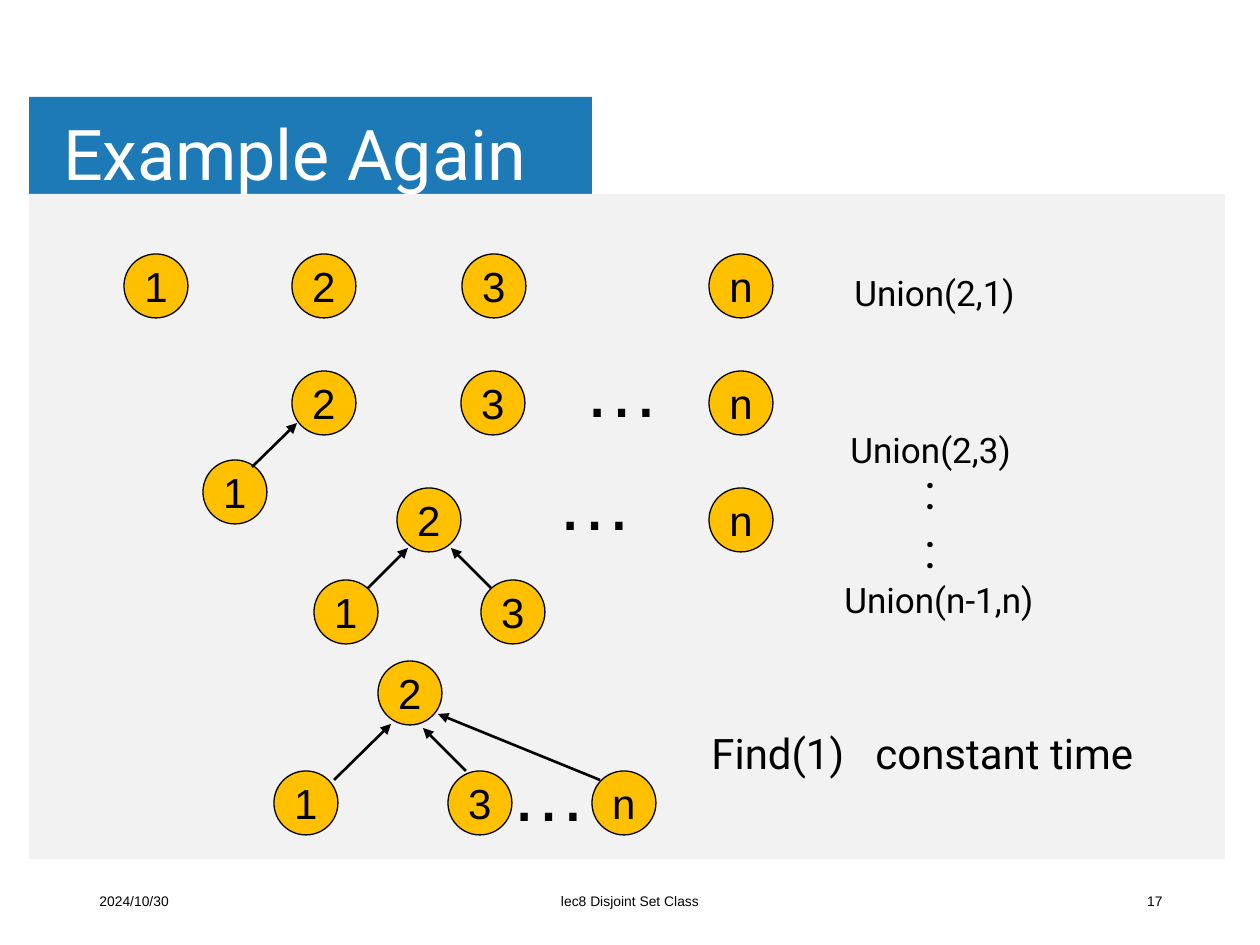
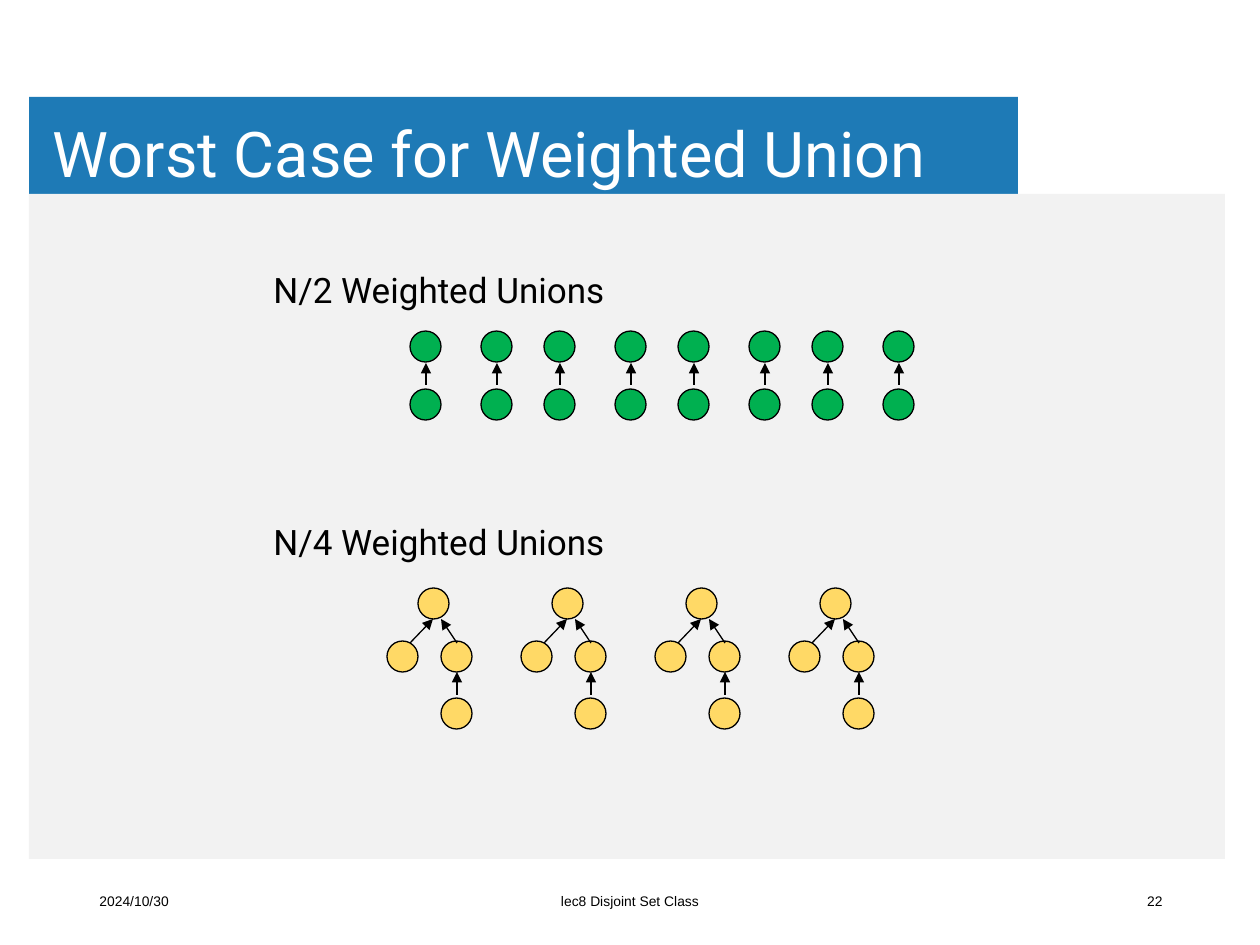
from collections import namedtuple

from lxml import etree
from pptx import Presentation
from pptx.dml.color import RGBColor
from pptx.enum import shapes, text
from pptx.oxml import ns
from pptx.util import Pt

PX = 914400 / 126
BLACK = RGBColor(0x00, 0x00, 0x00)
WHITE = RGBColor(0xFF, 0xFF, 0xFF)
BAND_BLUE = RGBColor(0x1E, 0x7A, 0xB6)
PANEL_GREY = RGBColor(0xF2, 0xF2, 0xF2)
NODE_ORANGE = RGBColor(0xFF, 0xC0, 0x00)
NODE_GREEN = RGBColor(0x00, 0xB0, 0x50)
NODE_YELLOW = RGBColor(0xFF, 0xD9, 0x66)
ROBOTO, ARIAL = "Roboto", "Arial"
LEFT, CENTER, RIGHT = text.PP_ALIGN.LEFT, text.PP_ALIGN.CENTER, text.PP_ALIGN.RIGHT
MIDDLE = text.MSO_ANCHOR.MIDDLE
OVAL, RECTANGLE = shapes.MSO_SHAPE.OVAL, shapes.MSO_SHAPE.RECTANGLE

Box = namedtuple("Box", "left top width height")
PANEL = Box(29, 194, 1196, 665)
FOOTER = Box(87, 876, 1088, 50)
NODE_SIZE, DOT_SIZE, TREE_STEP = 64, 31, 134

UNION_STEPS = [
    (60, [("1", 95, 0), ("2", 263, 0), ("3", 433, 0), ("n", 680, 0)], [], None),
    (177, [("1", 174, 89), ("2", 263, 0), ("3", 432, 0), ("n", 680, 0)],
     [(223, 96, 268, 52)], Box(542, -37, 147, 142)),
    (294, [("1", 285, 92), ("2", 368, 0), ("3", 452, 92), ("n", 680, 0)],
     [(339, 100, 379, 60), (462, 100, 422, 60)], Box(515, -41, 147, 142)),
    (467, [("1", 245, 110), ("2", 349, 0), ("3", 419, 110), ("n", 563, 110)],
     [(305, 119, 362, 63), (437, 110, 394, 67), (571, 119, 409, 53)],
     Box(469, 77, 103, 135)),
]
UNION_CALLS = [
    ("Union(2,1)", Box(813, 71, 292, 84)),
    ("Union(2,3)", Box(809, 228, 297, 84)),
    ("Union(n-1,n)", Box(803, 378, 341, 84)),
]
PAIR_NODES = [("", 0, 0), ("", 0, 58)]
PAIR_ARROWS = [(16, 54, 16, 32)]
TREE_NODES = [("", 31, 0), ("", 0, 53), ("", 54, 53), ("", 54, 110)]
TREE_ARROWS = [(23, 55, 46, 31), (70, 107, 70, 84), (70, 55, 54, 31)]


def emu(*lengths):
    """Turn px lengths into EMU."""
    return [round(length * PX) for length in lengths]


def inside(outer, box):
    """Shift a box by the corner of the outer box."""
    return box._replace(left=outer.left + box.left, top=outer.top + box.top)


def write(paragraph, words, size, font, color=BLACK, align=LEFT):
    """Add one styled run to a paragraph."""
    paragraph.alignment = align
    run = paragraph.add_run()
    run.text = words
    run.font.size, run.font.name = Pt(size), font
    run.font.color.rgb = color


def add_label(slide, box, lines, size, font=ROBOTO, color=BLACK, align=LEFT, anchor=None):
    """Add a text box with one paragraph per line."""
    frame = slide.shapes.add_textbox(*emu(*box)).text_frame
    frame.word_wrap = True
    frame.vertical_anchor = anchor
    for index, line in enumerate(lines):
        paragraph = frame.add_paragraph() if index else frame.paragraphs[0]
        write(paragraph, line, size, font, color, align)
    return frame


def add_filled(slide, kind, box, color):
    """Add a flat preset shape without outline."""
    shape = slide.shapes.add_shape(kind, *emu(*box))
    shape.shadow.inherit = False
    shape.fill.solid()
    shape.fill.fore_color.rgb = color
    shape.line.fill.background()
    return shape


def add_arrow(slide, start, end, weight):
    """Draw a black line with a triangle at its end."""
    arrow = slide.shapes.add_connector(shapes.MSO_CONNECTOR.STRAIGHT, *emu(*start, *end))
    arrow.line.color.rgb = BLACK
    arrow.line.width = Pt(weight)
    etree.SubElement(arrow.line._get_or_add_ln(), ns.qn("a:tailEnd"), type="triangle")
    etree.SubElement(arrow._element.spPr, ns.qn("a:effectLst"))


def add_forest(slide, box, nodes, arrows, size, color, weight):
    """Draw nodes and parent arrows from the corner of the box."""
    for key, x, y in nodes:
        node = add_filled(slide, OVAL, inside(box, Box(x, y, size, size)), color)
        node.line.color.rgb = BLACK
        node.line.width = Pt(0.75)
        if key:
            frame = node.text_frame
            frame.word_wrap = False
            frame.vertical_anchor = MIDDLE
            write(frame.paragraphs[0], key, 24, ARIAL, align=CENTER)
    for x1, y1, x2, y2 in arrows:
        add_arrow(slide, (box.left + x1, box.top + y1),
                  (box.left + x2, box.top + y2), weight)


def add_footer(slide, box, number):
    """Place date, lecture name and slide number."""
    for words, x, width, align in [("2024/10/30", 0, 284, LEFT),
                                   ("lec8 Disjoint Set Class", 330, 426, CENTER),
                                   (number, 804, 284, RIGHT)]:
        add_label(slide, inside(box, Box(x, 0, width, box.height)), [words], 7.9,
                  ARIAL, align=align, anchor=MIDDLE)


def start_slide(deck, title, size, title_left, band_width, number):
    """Add a blank slide with title band, panel and footer."""
    slide = deck.slides.add_slide(deck.slide_layouts[6])
    add_filled(slide, RECTANGLE, Box(PANEL.left, 97, band_width, 210), BAND_BLUE)
    add_filled(slide, RECTANGLE, PANEL, PANEL_GREY)
    frame = add_label(slide, Box(title_left, 96, 1012, 123), [title], size,
                      color=WHITE, anchor=MIDDLE)
    frame.margin_left, frame.margin_top = frame.margin_right, frame.margin_bottom = emu(9, 5)
    frame.paragraphs[0].line_spacing = 0.9
    add_footer(slide, FOOTER, number)
    return slide


def add_find_cost(slide, box):
    """State the cost of Find with a tab between call and cost."""
    frame = add_label(slide, box, [], 24)
    paragraph = frame.paragraphs[0]
    tabs = etree.SubElement(paragraph._p.get_or_add_pPr(), ns.qn("a:tabLst"))
    etree.SubElement(tabs, ns.qn("a:tab"), pos=str(emu(164)[0]), algn="l")
    write(paragraph, "Find(1)\tconstant time", 24, ROBOTO)


def add_union_steps(slide, box):
    """Show the forest after each union, with the calls beside it."""
    for top, nodes, arrows, ellipsis in UNION_STEPS:
        row = inside(box, Box(0, top, box.width, 0))
        add_forest(slide, row, nodes, arrows, NODE_SIZE, NODE_ORANGE, 1.5)
        if ellipsis:
            add_label(slide, inside(row, ellipsis), ["…"], 44, ARIAL)
    for call, place in UNION_CALLS:
        add_label(slide, inside(box, place), [call], 20)
    add_label(slide, inside(box, Box(883, 260, 71, 155)), [":", ":"], 28)
    add_find_cost(slide, inside(box, Box(670, 527, 478, 68)))


def add_worst_case(slide, box):
    """Show the paired nodes and the four-node trees under their headings."""
    headings = add_label(slide, inside(box, Box(232, 68, 452, 275)),
                         ["N/2 Weighted Unions", "N/4 Weighted Unions"], 20)
    headings.paragraphs[1].space_before = Pt(120)
    for group in range(4):
        shift = group * TREE_STEP
        for pair_left in (381, 452):
            add_forest(slide, inside(box, Box(pair_left + shift, 137, 31, 89)),
                       PAIR_NODES, PAIR_ARROWS, DOT_SIZE, NODE_GREEN, 0.75)
        add_forest(slide, inside(box, Box(358 + shift, 394, 85, 141)),
                   TREE_NODES, TREE_ARROWS, DOT_SIZE, NODE_YELLOW, 0.75)


def main():
    """Build and save the deck."""
    deck = Presentation()
    deck.slide_width, deck.slide_height = emu(1260, 945)
    add_union_steps(start_slide(deck, "Example Again", 40, 54, 563, "17"), PANEL)
    add_worst_case(
        start_slide(deck, "Worst Case for Weighted Union", 36, 44, 989, "22"), PANEL)
    deck.save("out.pptx")


if __name__ == "__main__":
    main()
